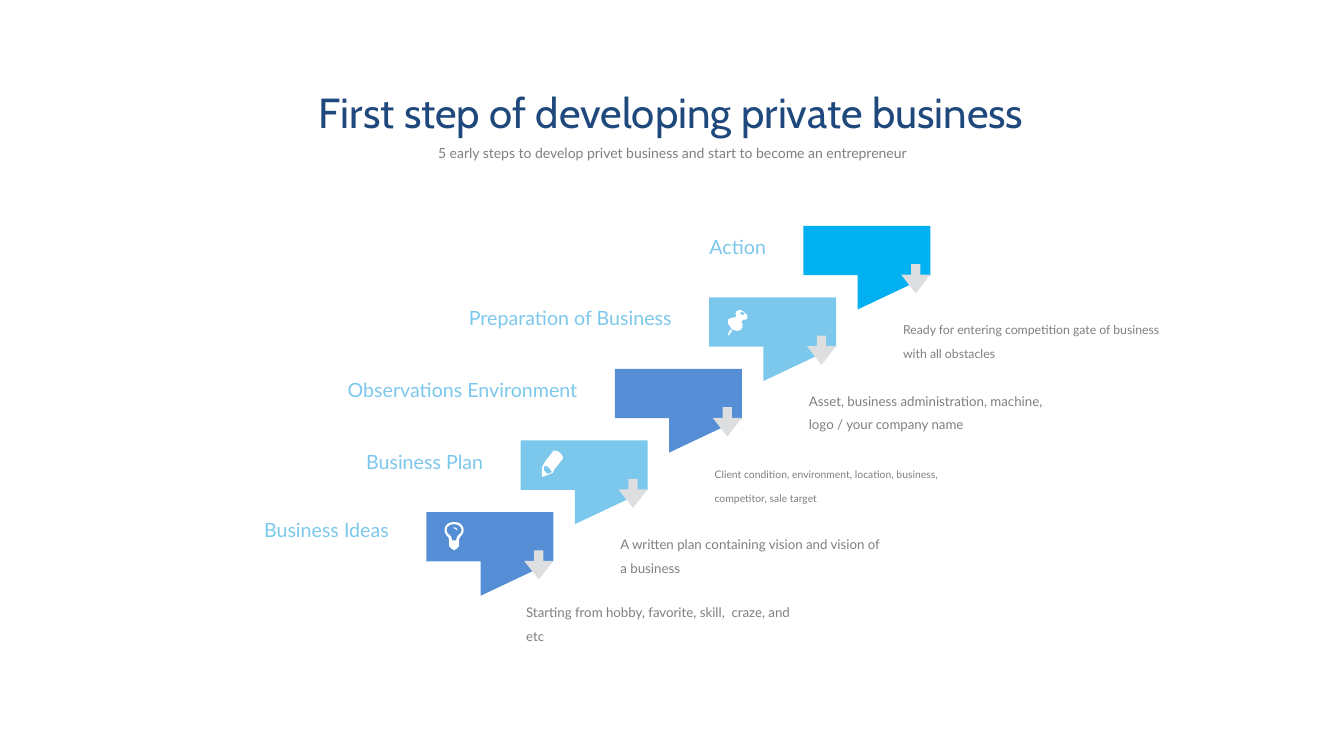
"""Build a slide with a rising staircase of five business steps."""
from dataclasses import dataclass

from pptx import Presentation
from pptx.dml.color import RGBColor
from pptx.enum.shapes import MSO_SHAPE
from pptx.enum.text import MSO_ANCHOR, MSO_AUTO_SIZE, PP_ALIGN
from pptx.util import Inches, Pt

ARROW = MSO_SHAPE.RIGHT_ARROW
LEFT, MID, RIGHT = PP_ALIGN.LEFT, PP_ALIGN.CENTER, PP_ALIGN.RIGHT
TOP, CENTRE = MSO_ANCHOR.TOP, MSO_ANCHOR.MIDDLE
FIXED = MSO_AUTO_SIZE.NONE

CELL = Inches(0.01)
COLS, ROWS = 1333.33, 750
BASE_COL, BASE_ROW = 423, 508
STEP_COL, STEP_ROW = 93.5, -71

COLORS = {"navy": "1F497D", "gray": "7F7F7F", "sky": "7CC8EC", "blue": "558ED5",
          "cyan": "00B0F0", "silver": "DCDEE0", "white": "FFFFFF"}

Loop = list[tuple[float, float]]

FLAG: list[Loop] = [[(54, 83), (54, 49), (0, 49), (0, 0), (126, 0), (126, 49)]]

BULB: list[Loop] = [
    [(18, 18), (18.7, 14.5), (20.8, 11.8), (24, 10.3), (27.5, 10), (31, 10.3),
     (34.2, 11.8), (36.3, 14.5), (37, 18), (36.5, 20.5), (35, 23), (33, 25.5),
     (32.3, 28), (32.6, 30), (32.3, 32), (32.3, 34), (30.5, 36), (27.5, 38),
     (24.5, 36), (22.7, 34), (22.7, 32), (22.4, 30), (22.7, 28), (22, 25.5),
     (20, 23), (18.5, 20.5)],
    [(20, 18), (20.8, 15), (23.5, 12.7), (27.5, 12), (31.5, 12.7), (34.2, 15),
     (35, 18), (34, 21), (32, 22.5), (30.3, 25), (29.5, 28), (25.5, 28),
     (24.7, 25), (23, 22.5), (21, 21)],
    [(27, 15), (29.5, 15.7), (31, 18), (30.5, 18.3), (29, 16.8), (27, 16)],
]

PENCIL: list[Loop] = [
    [(39, 12), (36, 10.5), (33, 10), (32, 11), (25, 20), (22, 25), (21, 27),
     (21, 36), (22, 36), (30, 33), (32, 32), (34, 28), (42, 18), (42, 17),
     (41, 14.5)],
    [(30, 32), (27, 33), (26, 33), (25, 31), (23, 30), (23, 27), (24, 25),
     (26, 25.3), (28, 27), (30, 29.5), (31, 31)],
]

PIN: list[Loop] = [
    [(33, 30), (33.2, 26.5), (32, 24), (34, 22), (36.5, 22), (38, 21),
     (37.8, 17.5), (34, 14), (30, 12.3), (27, 14), (26.3, 16), (27, 18),
     (26, 20), (23.5, 20), (21, 21), (19, 22), (18.8, 26), (23, 32),
     (27.5, 33.3), (31, 32.6)],
    [(32, 17), (30.8, 15.7), (31, 15), (32.5, 14.4), (34, 15), (35, 16),
     (35, 17), (33.7, 17.6)],
    [(21, 32), (19, 36), (19, 38), (20, 37), (23, 33), (22, 32.5)],
]


@dataclass
class Step:
    label: str
    note: str
    fill: str
    icon: list[Loop]
    size: float = 9.5
    width: float = 220
    lift: float = 0


STEPS = [
    Step("Business Ideas", "Starting from hobby, favorite, skill,  craze, and etc",
         "blue", BULB, lift=3),
    Step("Business Plan", "A written plan containing vision and vision of a business",
         "sky", PENCIL),
    Step("Observations Environment",
         "Client condition, environment, location, business, competitor, sale target",
         "blue", [], size=7.4, width=346),
    Step("Preparation of Business",
         "Asset, business administration, machine, logo / your company name",
         "sky", PIN, width=278),
    Step("Action", "Ready for entering competition gate of business with all obstacles",
         "cyan", [], size=8.8),
]


def cells(*counts: float) -> list[int]:
    return [round(count * CELL) for count in counts]


def paint(shape, fill: str) -> None:
    shape.shadow.inherit = False
    shape.fill.solid()
    shape.fill.fore_color.rgb = RGBColor.from_string(COLORS[fill])
    shape.line.fill.background()


def write(shape, words: str, *, size: float, color: str, space: float | Pt,
          face: str = "Lato", align=LEFT, anchor=TOP, inset: int = 0) -> None:
    frame = shape.text_frame
    frame.word_wrap = True
    frame.auto_size = FIXED
    frame.vertical_anchor = anchor
    frame.margin_left = frame.margin_right = inset
    frame.margin_top = frame.margin_bottom = inset // 2
    line = frame.paragraphs[0]
    line.alignment = align
    line.line_spacing = space
    line.space_before = Pt(0)
    run = line.add_run()
    run.text = words
    run.font.name = face
    run.font.size = Pt(size)
    run.font.color.rgb = RGBColor.from_string(COLORS[color])


def trace(slide, loops: list[Loop], col: float, row: float, fill: str) -> None:
    paths = [[cells(col + x, row + y) for x, y in loop] for loop in loops]
    pen = slide.shapes.build_freeform(*paths[0][0], scale=1.0)
    for index, path in enumerate(paths):
        if index:
            pen.move_to(*path[0])
        pen.add_line_segments(path[1:], close=True)
    paint(pen.convert_to_shape(), fill)


def draw_step(slide, step: Step, col: float, row: float) -> None:
    trace(slide, FLAG, col, row, step.fill)
    if step.icon:
        trace(slide, step.icon, col, row, "white")
    arrow = slide.shapes.add_shape(ARROW, *cells(col + 97, row + 38, 29, 29))
    arrow.rotation = 90
    arrow.adjustments[0], arrow.adjustments[1] = 0.32, 0.64
    paint(arrow, "silver")
    label = slide.shapes.add_textbox(
        *cells(col - 37 - step.width, row + 6 - step.lift, step.width, 32))
    write(label, step.label, size=14, color="sky", space=0.9, align=RIGHT, anchor=CENTRE)
    note = slide.shapes.add_textbox(*cells(col + 99, row + 87 - step.lift, 267, 54))
    write(note, step.note, size=step.size, color="gray", space=Pt(17))


def main() -> None:
    deck = Presentation()
    deck.slide_width, deck.slide_height = cells(COLS, ROWS)
    slide = deck.slides.add_slide(deck.slide_layouts[5])
    title = slide.shapes.title
    title.left, title.top, title.width, title.height = cells(77, 73, 1178, 59)
    write(title, "First step of developing private business", size=30, color="navy",
          space=Pt(48), face="Cabin", align=MID, anchor=CENTRE, inset=Inches(0.1))
    lead = slide.shapes.add_textbox(*cells(167, 141, 1000, 27))
    write(lead, "5 early steps to develop privet business and start to become an entrepreneur",
          size=10, color="gray", space=Pt(14), align=MID)
    for index, step in enumerate(STEPS):
        draw_step(slide, step, BASE_COL + index * STEP_COL, BASE_ROW + index * STEP_ROW)
    deck.save("out.pptx")


if __name__ == "__main__":
    main()
